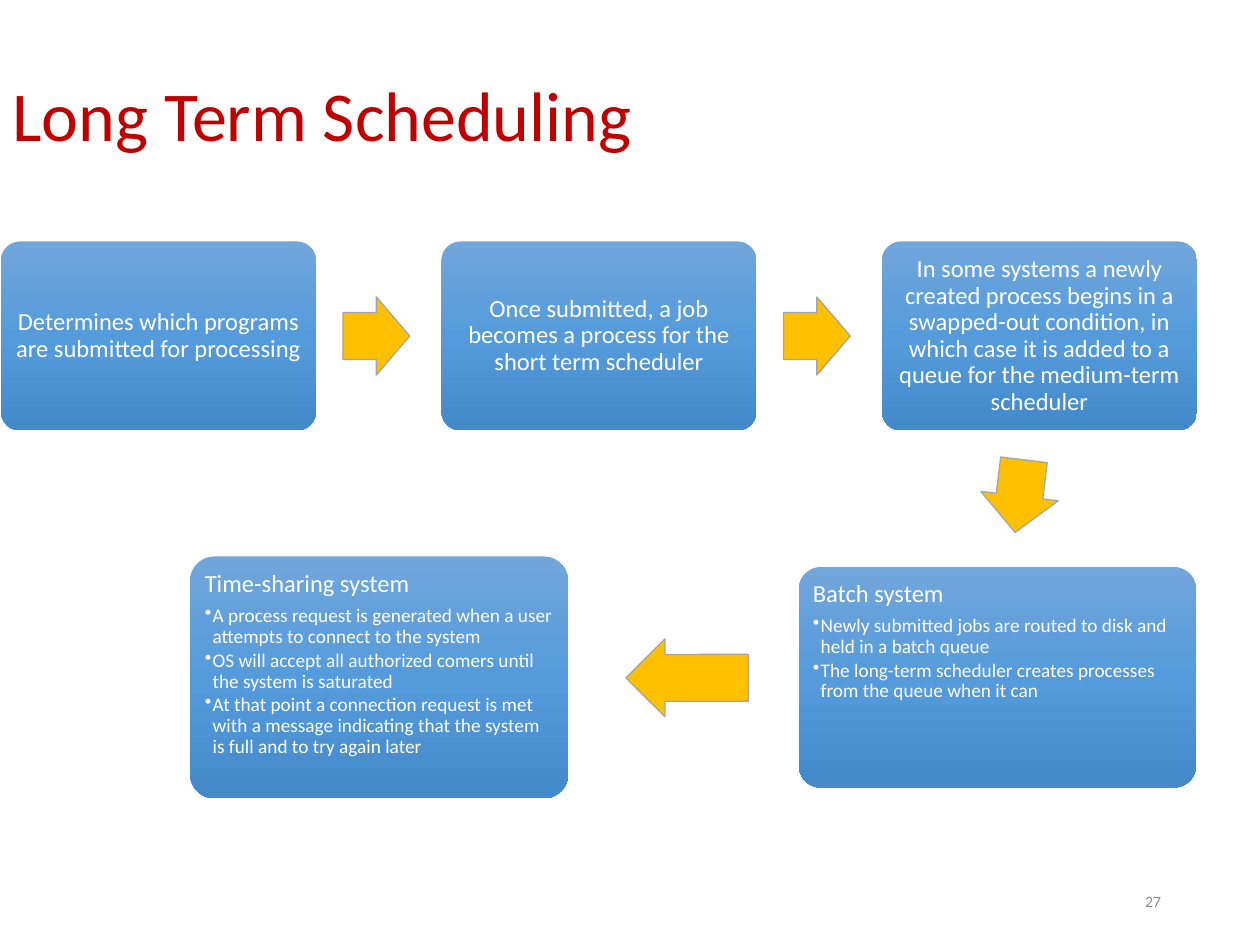
from copy import deepcopy

from lxml.etree import SubElement
from pptx import Presentation
from pptx.dml.color import RGBColor
from pptx.enum.shapes import MSO_SHAPE
from pptx.enum.text import MSO_ANCHOR, PP_ALIGN
from pptx.oxml.ns import qn
from pptx.util import Pt

STEPS = [
    "Determines which programs are submitted for processing",
    "Once submitted, a job becomes a process for the short term scheduler",
    "In some systems a newly created process begins in a swapped-out condition, "
    "in which case it is added to a queue for the medium-term scheduler",
]
BATCH = [
    "Newly submitted jobs are routed to disk and held in a batch queue",
    "The long-term scheduler creates processes from the queue when it can",
]
TIME_SHARING = [
    "A process request is generated when a user attempts to connect to the system",
    "OS will accept all authorized comers until the system is saturated",
    "At that point a connection request is met with a message indicating that "
    "the system is full and to try again later",
]


def rgb(color):
    return RGBColor.from_string(color)


def add_text(tf, text, size=14, color="FFFFFF", font="Calibri", align=PP_ALIGN.LEFT,
             spacing=0.9, after=0, bullet=False, first=True):
    p = tf.paragraphs[0] if first else tf.add_paragraph()
    p.alignment, p.line_spacing, p.space_after = align, spacing, Pt(after)
    p.space_before = Pt(0)
    if bullet:
        p.level = 1
        pPr = p._p.get_or_add_pPr()
        pPr.set("marL", str(Pt(4.5)))
        pPr.set("indent", str(Pt(-4.5)))
        SubElement(pPr, qn("a:buChar")).set("char", "•")
    r = p.add_run()
    r.text = text
    r.font.name, r.font.size, r.font.color.rgb = font, Pt(size), rgb(color)


class SlideBuilder:
    """Holds the style and the current slide, and adds its elements."""

    gradient = ["71A6DB", "559BDB", "448ACA"]
    arrow_fill, arrow_line = "FFC000", "A5A5A5"
    title_color, number_color = "C00000", "8C8C8C"
    inset = 4.3

    def __init__(self, prs):
        self.s = prs.slides.add_slide(prs.slide_layouts[5])

    def title(self, text, *box):
        sp = self.s.shapes.title
        sp.left, sp.top, sp.width, sp.height = map(Pt, box)
        sp.text_frame.vertical_anchor = MSO_ANCHOR.MIDDLE
        add_text(sp.text_frame, text, size=40, color=self.title_color)

    def shape(self, kind, box, *adjustments):
        sp = self.s.shapes.add_shape(kind, *map(Pt, box))
        sp.shadow.inherit = False
        for i, value in enumerate(adjustments):
            sp.adjustments[i] = value
        return sp

    def card(self, text, *box, bullets=()):
        sp = self.shape(MSO_SHAPE.ROUNDED_RECTANGLE, box, 0.1)
        sp.line.fill.background()
        sp.fill.gradient()
        sp.fill.gradient_angle = 270
        first = sp.fill.gradient_stops[0]._gs
        first.addnext(deepcopy(first))
        for i, stop in enumerate(sp.fill.gradient_stops):
            stop.position, stop.color.rgb = i / 2, rgb(self.gradient[i])
        tf = sp.text_frame
        tf.word_wrap = True
        tf.margin_left = tf.margin_right = tf.margin_top = tf.margin_bottom = Pt(self.inset)
        tf.vertical_anchor = MSO_ANCHOR.TOP if bullets else MSO_ANCHOR.MIDDLE
        add_text(tf, text, align=PP_ALIGN.LEFT if bullets else PP_ALIGN.CENTER,
                 after=4.9 if bullets else 0)
        for bullet in bullets:
            add_text(tf, bullet, size=11, after=1.65, bullet=True, first=False)

    def arrow(self, *box, rotation=0):
        sp = self.shape(MSO_SHAPE.RIGHT_ARROW, box, 0.6, 0.5)
        sp.rotation = rotation
        sp.fill.solid()
        sp.fill.fore_color.rgb = rgb(self.arrow_fill)
        sp.line.color.rgb, sp.line.width = rgb(self.arrow_line), Pt(0.75)

    def page_number(self, text, *box):
        tf = self.s.shapes.add_textbox(*map(Pt, box)).text_frame
        tf.word_wrap, tf.vertical_anchor = True, MSO_ANCHOR.MIDDLE
        add_text(tf, text, size=9, color=self.number_color, align=PP_ALIGN.RIGHT, spacing=1)


def main():
    prs = Presentation()
    prs.slide_width, prs.slide_height = Pt(720), Pt(540)
    sb = SlideBuilder(prs)
    sb.title("Long Term Scheduling", 0, 24, 595, 88)
    pitch = 251.7
    for i, step in enumerate(STEPS):
        sb.card(step, 0.6 + i * pitch, 138, 180, 108)
        if i < len(STEPS) - 1:
            sb.arrow(196 + i * pitch, 169.7, 38.2, 44.6)
    sb.arrow(561.7, 261.2, 41.8, 44.6, rotation=96.9)
    sb.card("Batch system", 456.5, 324, 227, 126, bullets=BATCH)
    sb.arrow(357.7, 365, 70, 44.6, rotation=179.9)
    sb.card("Time-sharing system", 108.7, 318, 216, 138.2, bullets=TIME_SHARING)
    sb.page_number("27", 508.5, 500.5, 162, 28.8)
    prs.save("out.pptx")


if __name__ == "__main__":
    main()
